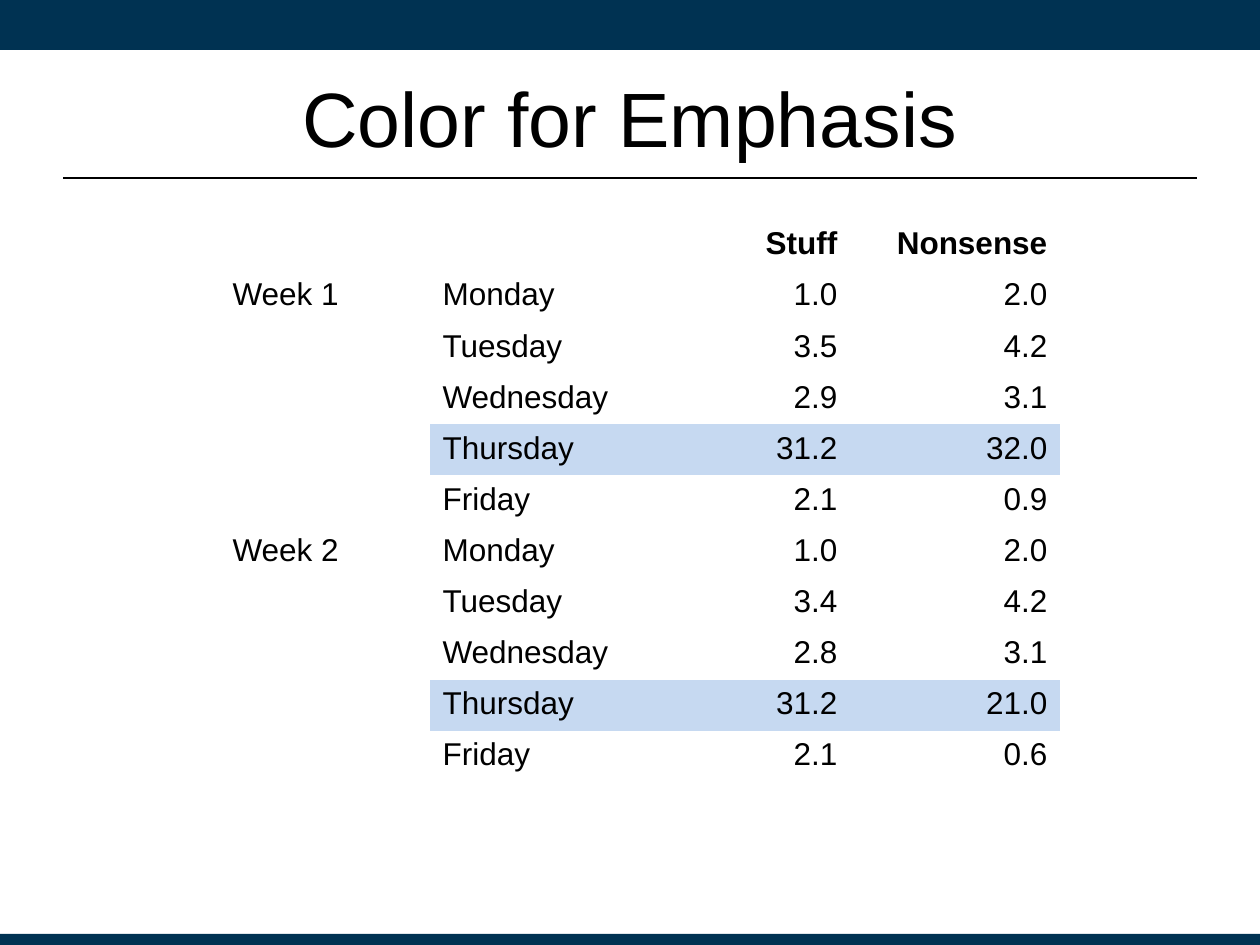
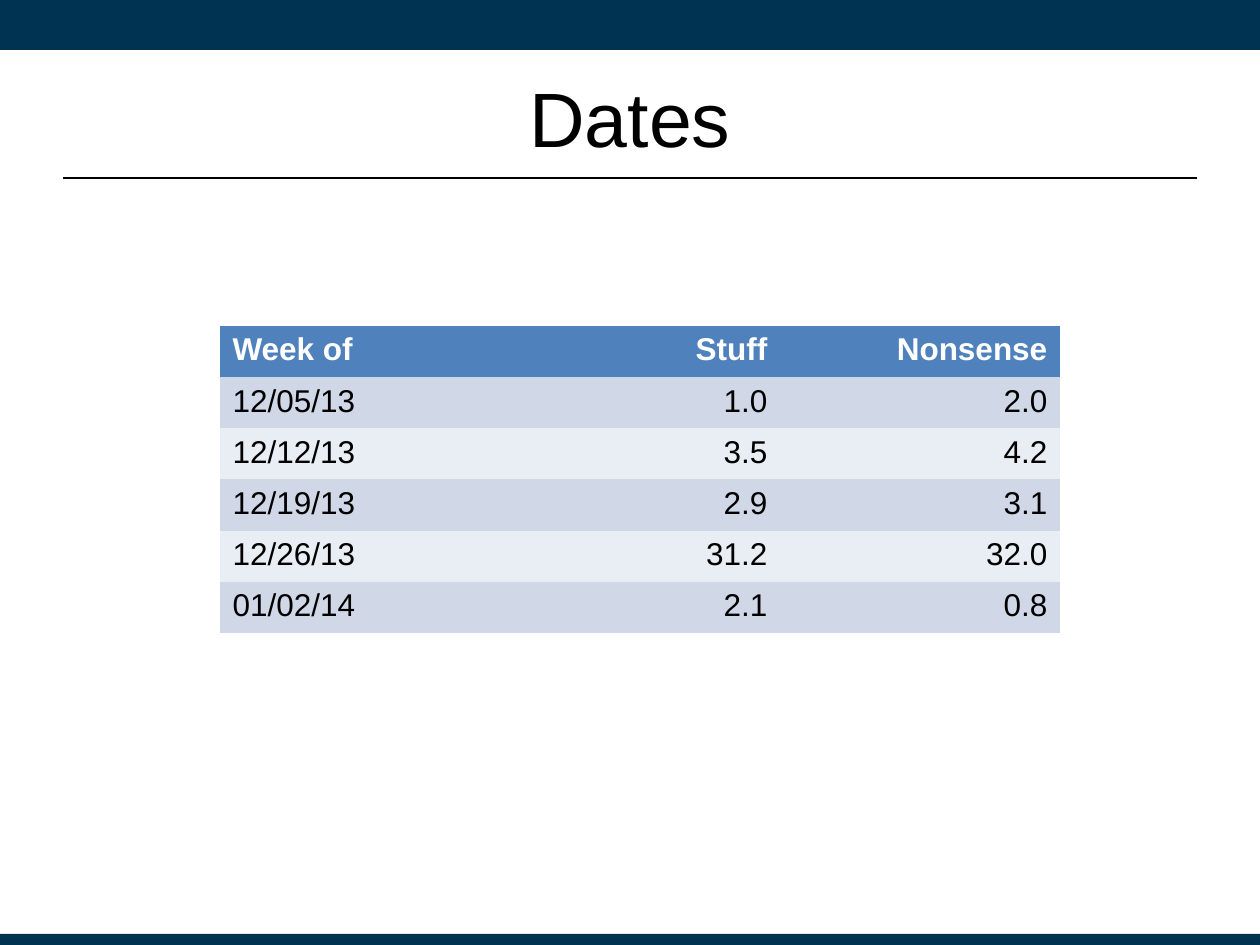
from lxml import etree
from pptx import Presentation
from pptx.dml.color import RGBColor
from pptx.enum.shapes import MSO_CONNECTOR, MSO_SHAPE
from pptx.enum.text import MSO_ANCHOR, PP_ALIGN
from pptx.oxml.ns import qn
from pptx.util import Pt

RECTANGLE = MSO_SHAPE.RECTANGLE
STRAIGHT = MSO_CONNECTOR.STRAIGHT
MIDDLE = MSO_ANCHOR.MIDDLE
LEFT, CENTER, RIGHT = PP_ALIGN.LEFT, PP_ALIGN.CENTER, PP_ALIGN.RIGHT

EMU_PER_PX = 914400 / 126
SLIDE_WIDTH, SLIDE_HEIGHT = 1260, 945
MARGIN = 63
TABLE_LEFT, TABLE_WIDTH = 220, 840
TITLE_ONLY_LAYOUT = 5
PLAIN_TABLE_STYLE = "{2D5ABB26-0587-4C30-8999-92F81FD0307C}"

FONT = "Arial"
NAVY = "003252"
BLACK = "000000"
WHITE = "FFFFFF"
HIGHLIGHT = "C6D9F1"
HEADER_BLUE = "4F81BD"
BAND_DARK = "D0D8E8"
BAND_LIGHT = "E9EDF4"

DAILY_ROWS = [
    ["", "", "Stuff", "Nonsense"],
    ["Week 1", "Monday", "1.0", "2.0"],
    ["", "Tuesday", "3.5", "4.2"],
    ["", "Wednesday", "2.9", "3.1"],
    ["", "Thursday", "31.2", "32.0"],
    ["", "Friday", "2.1", "0.9"],
    ["Week 2", "Monday", "1.0", "2.0"],
    ["", "Tuesday", "3.4", "4.2"],
    ["", "Wednesday", "2.8", "3.1"],
    ["", "Thursday", "31.2", "21.0"],
    ["", "Friday", "2.1", "0.6"],
]
WEEKLY_ROWS = [
    ["Week of", "Stuff", "Nonsense"],
    ["12/05/13", "1.0", "2.0"],
    ["12/12/13", "3.5", "4.2"],
    ["12/19/13", "2.9", "3.1"],
    ["12/26/13", "31.2", "32.0"],
    ["01/02/14", "2.1", "0.8"],
]


def px(length):
    """Turn px into EMU."""
    return round(length * EMU_PER_PX)


def rgb(hex_color):
    """Turn a hex string into a colour."""
    return RGBColor.from_string(hex_color)


def write(frame, text, size=18, color=BLACK, bold=False, align=LEFT):
    """Put one formatted paragraph into a text frame."""
    paragraph = frame.paragraphs[0]
    paragraph.alignment = align
    run = paragraph.add_run()
    run.text = text
    run.font.name = FONT
    run.font.size = Pt(size)
    run.font.bold = bold
    run.font.color.rgb = rgb(color)


def add_band(slide, top, height):
    """Draw a navy band across the slide."""
    band = slide.shapes.add_shape(RECTANGLE, 0, px(top), px(SLIDE_WIDTH), px(height))
    band.shadow.inherit = False
    band.fill.solid()
    band.fill.fore_color.rgb = rgb(NAVY)
    band.line.fill.background()


def add_title_rule(slide, top):
    """Draw the thin rule under the title."""
    rule = slide.shapes.add_connector(
        STRAIGHT, px(MARGIN), px(top), px(SLIDE_WIDTH - MARGIN), px(top))
    rule.line.color.rgb = rgb(BLACK)
    rule.line.width = Pt(1.25)
    etree.SubElement(rule._element.spPr, qn("a:effectLst"))


def add_titled_slide(deck, heading):
    """Add a slide with the shared bands, rule and title."""
    slide = deck.slides.add_slide(deck.slide_layouts[TITLE_ONLY_LAYOUT])
    add_band(slide, top=0, height=50)
    add_band(slide, top=934, height=11)
    add_title_rule(slide, top=178)
    title = slide.shapes.title
    title.left, title.top = px(MARGIN), px(38)
    title.width, title.height = px(SLIDE_WIDTH - 2 * MARGIN), px(158)
    title.text_frame.vertical_anchor = MIDDLE
    write(title.text_frame, heading, size=44, align=CENTER)
    return slide


def add_data_table(slide, rows, top, height, fill_for, header_color=BLACK):
    """Add a table with equal columns, its last two right-aligned."""
    column_count = len(rows[0])
    table = slide.shapes.add_table(
        len(rows), column_count,
        px(TABLE_LEFT), px(top), px(TABLE_WIDTH), px(height)).table
    table.first_row = table.horz_banding = False
    table._tbl.tblPr.find(qn("a:tableStyleId")).text = PLAIN_TABLE_STYLE
    for row, values in enumerate(rows):
        is_header = row == 0
        for column, value in enumerate(values):
            cell = table.cell(row, column)
            fill = fill_for(row, column)
            if fill:
                cell.fill.solid()
                cell.fill.fore_color.rgb = rgb(fill)
            else:
                cell.fill.background()
            if value:
                write(cell.text_frame, value, bold=is_header,
                      color=header_color if is_header else BLACK,
                      align=RIGHT if column >= column_count - 2 else LEFT)


def emphasis_fill(row, column):
    """Highlight the Thursday rows, leaving the week column clear."""
    return HIGHLIGHT if column and DAILY_ROWS[row][1] == "Thursday" else None


def banded_fill(row, column):
    """Colour the header and alternate the rows below it."""
    if row == 0:
        return HEADER_BLUE
    return BAND_DARK if row % 2 else BAND_LIGHT


def main():
    """Build and save both slides."""
    deck = Presentation()
    deck.slide_width, deck.slide_height = px(SLIDE_WIDTH), px(SLIDE_HEIGHT)

    emphasis = add_titled_slide(deck, "Color for Emphasis")
    add_data_table(emphasis, DAILY_ROWS, 220, 562, emphasis_fill)

    dates = add_titled_slide(deck, "Dates")
    add_data_table(dates, WEEKLY_ROWS, 326, 307, banded_fill, header_color=WHITE)

    deck.save("out.pptx")


if __name__ == "__main__":
    main()
